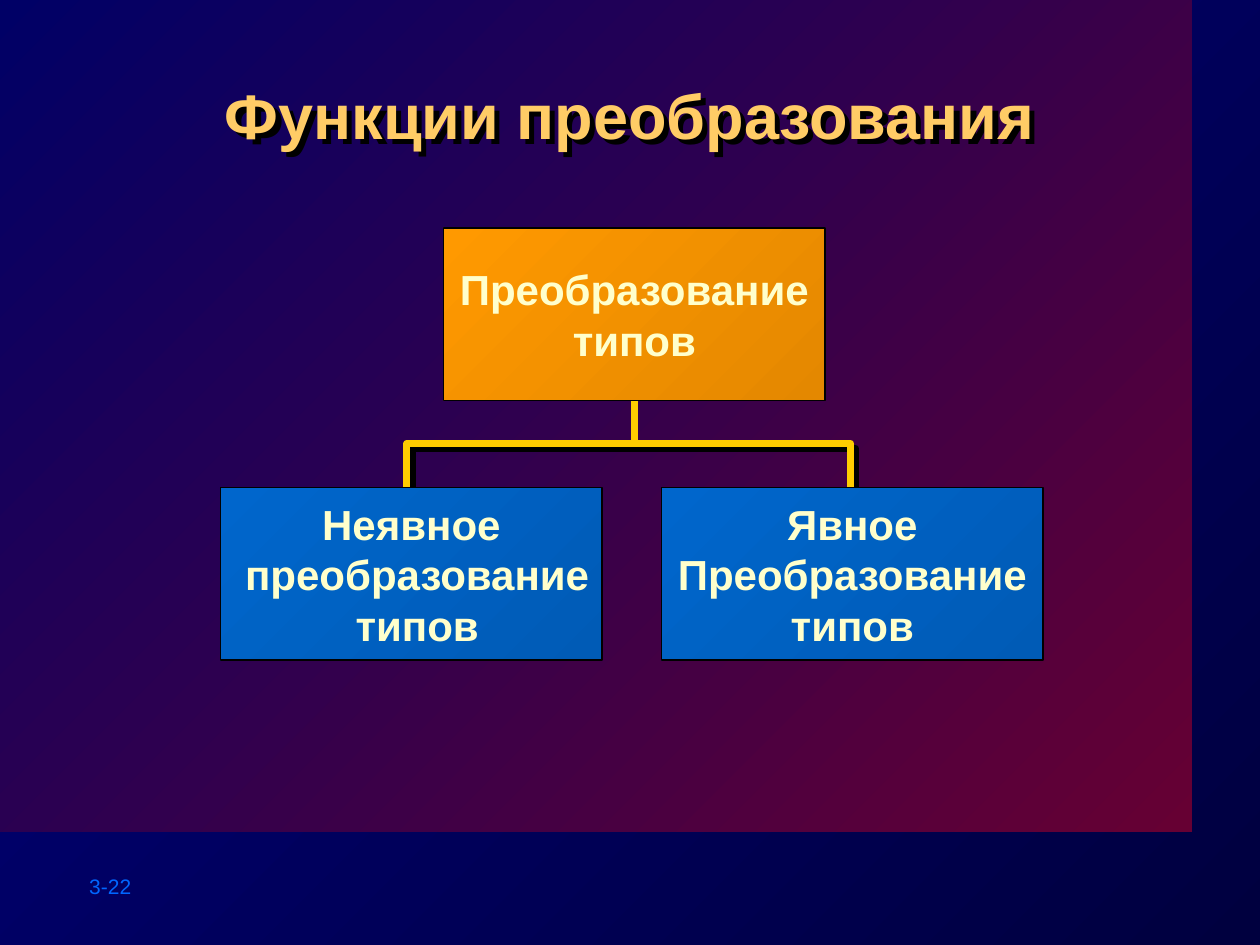
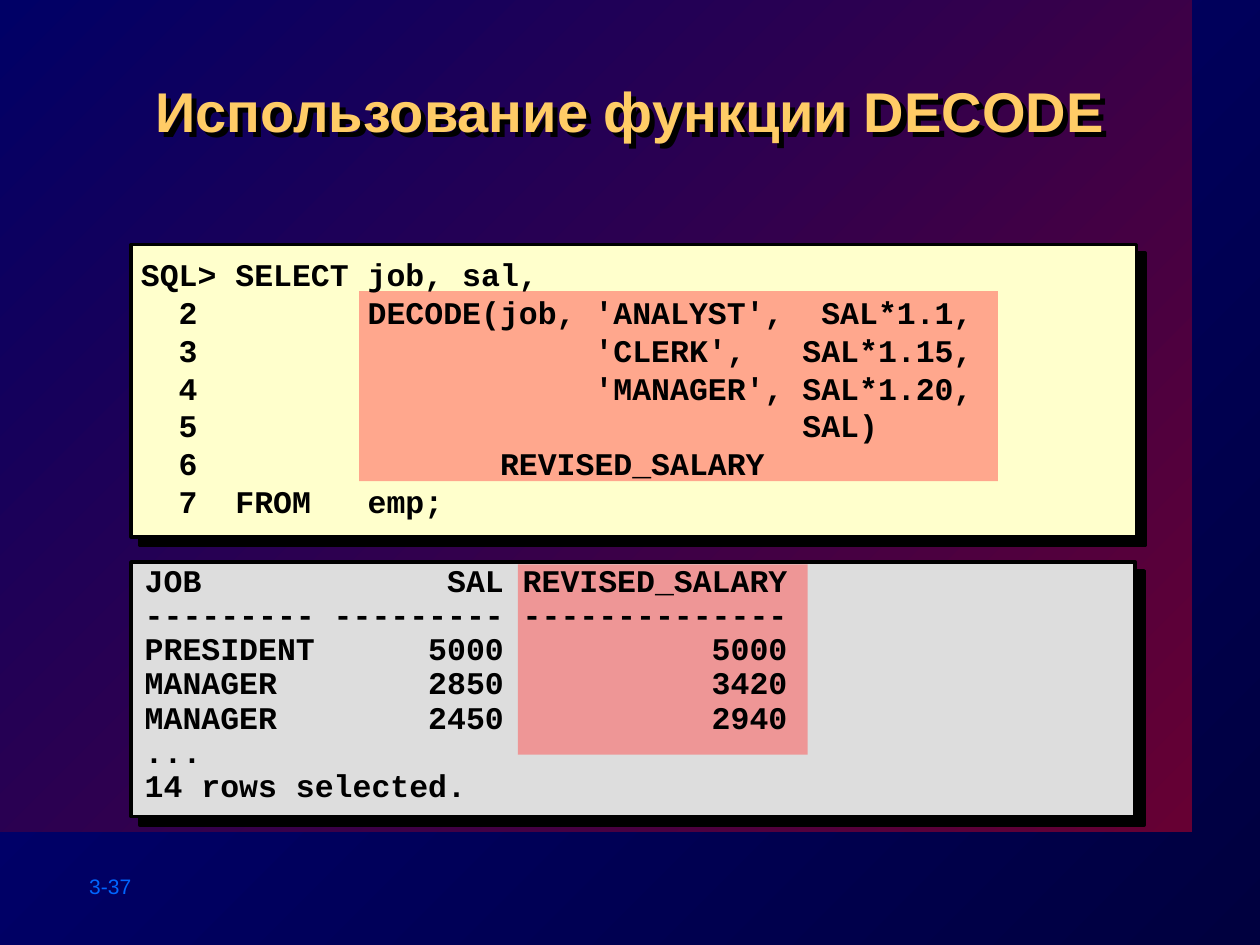
from lxml import etree
from pptx import Presentation
from pptx.dml.color import RGBColor
from pptx.enum.shapes import MSO_CONNECTOR, MSO_SHAPE
from pptx.enum.text import MSO_ANCHOR, PP_ALIGN
from pptx.oxml.ns import qn
from pptx.util import Inches, Pt

# Content
CONVERSION = {
    "title": "Функции преобразования",
    "title_size": 36,
    "number": "3-22",
    "parent": "Преобразование\nтипов",
    "children": ["Неявное\v преобразование\v типов",
                 "Явное\nПреобразование\nтипов"],
}
DECODE = {
    "title": "Использование функции DECODE",
    "title_size": 32,
    "number": "3-37",
    "query": [
        "SQL> SELECT job, sal,",
        "  2         DECODE(job, 'ANALYST',  SAL*1.1,",
        "  3                     'CLERK',   SAL*1.15,",
        "  4                     'MANAGER', SAL*1.20,",
        "  5                                SAL)",
        "  6                REVISED_SALARY",
        "  7  FROM   emp;",
    ],
    "result": [
        "JOB             SAL REVISED_SALARY",
        "--------- --------- --------------",
        "PRESIDENT      5000           5000",
        "MANAGER        2850           3420",
        "MANAGER        2450           2940",
        "...",
        "14 rows selected.",
    ],
}

# Shared style
COLORS = {
    "title": "FFCC66", "number": "0066FF", "connector": "FFCC00",
    "box_text": "FFFFCC", "black": "000000", "highlight": "FF5050",
    "query": "FFFFCC", "result": "DDDDDD",
}
GRADIENTS = {
    "background": ("00003F", "000080"),
    "panel": ("660033", "000066"),
    "parent": ("E48800", "FF9900"),
    "child": ("005BB6", "0066CC"),
}
BOX_WIDTH, BOX_HEIGHT = 3.03, 1.37
PARENT_LEFT, PARENT_TOP = 3.52, 1.81
CHILD_LEFT, CHILD_TOP, CHILD_STEP = 1.75, 3.87, 3.5
BRACKET_POINTS = [(3.23, 4.15), (3.23, 3.52), (6.75, 3.52), (6.75, 4.04)]


def color(name):
    return RGBColor.from_string(COLORS[name])


def paint_gradient(fill, name):
    fill.gradient()
    fill.gradient_angle = 135
    for stop, value in zip(fill.gradient_stops, GRADIENTS[name]):
        stop.color.rgb = RGBColor.from_string(value)


def cast_shadow(shape, distance):
    shape.shadow.inherit = False
    effects = shape._element.spPr.find(qn("a:effectLst"))
    shadow = etree.SubElement(effects, qn("a:outerShdw"), dist=str(Pt(distance)),
                              dir="2700000", algn="ctr", rotWithShape="0")
    etree.SubElement(shadow, qn("a:srgbClr"), val=COLORS["black"])


def write_text(shape, text, size=18, font="Arial", ink="black", bold=True,
               align=PP_ALIGN.LEFT, anchor=MSO_ANCHOR.TOP, wrap=True, spacing=None):
    frame = shape.text_frame
    frame.text = text
    frame.word_wrap = wrap
    frame.vertical_anchor = anchor
    for paragraph in frame.paragraphs:
        paragraph.alignment = align
        paragraph.line_spacing = spacing
        for run in paragraph.runs:
            run.font.name = font
            run.font.size = Pt(size)
            run.font.bold = bold
            run.font.color.rgb = color(ink)


def add_text(slide, place, text, **style):
    box = slide.shapes.add_textbox(*map(Inches, place))
    write_text(box, text, **style)
    return box


def add_rectangle(slide, place, fill=None, gradient=None, line=None):
    shape = slide.shapes.add_shape(MSO_SHAPE.RECTANGLE, *map(Inches, place))
    shape.shadow.inherit = False
    if gradient:
        paint_gradient(shape.fill, gradient)
    else:
        shape.fill.solid()
        shape.fill.fore_color.rgb = color(fill)
    if line:
        shape.line.color.rgb = color("black")
        shape.line.width = Pt(line)
    else:
        shape.line.fill.background()
    return shape


def add_base_slide(presentation, content):
    slide = presentation.slides.add_slide(presentation.slide_layouts[6])
    paint_gradient(slide.background.fill, "background")
    add_rectangle(slide, (0, 0, 9.46, 6.6), gradient="panel")
    add_text(slide, (0.61, 6.88, 1.11, 0.3), content["number"],
             size=12, ink="number", bold=False)
    title = add_text(slide, (1.01, 0.56, 7.98, 0.96), content["title"],
                     size=content["title_size"], ink="title", align=PP_ALIGN.CENTER)
    cast_shadow(title, 4.2)
    return slide


def add_diagram_box(slide, left, top, text, gradient):
    box = add_rectangle(slide, (left, top, BOX_WIDTH, BOX_HEIGHT),
                        gradient=gradient, line=1)
    write_text(box, text, size=24, ink="box_text", align=PP_ALIGN.CENTER,
               anchor=MSO_ANCHOR.MIDDLE, wrap=False)
    return box


def style_branch(shape):
    shape.line.color.rgb = color("connector")
    shape.line.width = Pt(4)


def build_conversion_slide(presentation):
    slide = add_base_slide(presentation, CONVERSION)

    # Bracket behind the boxes
    points = [(Inches(x), Inches(y)) for x, y in BRACKET_POINTS]
    builder = slide.shapes.build_freeform(*points[0])
    builder.add_line_segments(points[1:], close=False)
    bracket = builder.convert_to_shape()
    bracket.fill.background()
    style_branch(bracket)
    cast_shadow(bracket, 4.2)

    # Boxes
    for index, text in enumerate(CONVERSION["children"]):
        add_diagram_box(slide, CHILD_LEFT + index * CHILD_STEP, CHILD_TOP, text, "child")
    parent = add_diagram_box(slide, PARENT_LEFT, PARENT_TOP,
                             CONVERSION["parent"], "parent")

    # Stem from the parent down to the bracket
    center = parent.left + parent.width // 2
    stem = slide.shapes.add_connector(MSO_CONNECTOR.STRAIGHT, center,
                                      parent.top + parent.height, center, points[1][1])
    stem.begin_connect(parent, 2)
    style_branch(stem)
    etree.SubElement(stem._element.spPr, qn("a:effectLst"))


def build_decode_slide(presentation):
    slide = add_base_slide(presentation, DECODE)

    # Panels
    for place, fill in [((1.04, 1.94, 7.98, 2.32), "query"),
                        ((1.04, 4.46, 7.97, 2.02), "result")]:
        cast_shadow(add_rectangle(slide, place, fill=fill, line=2), 7.1)

    # Translucent highlights
    for place in [(2.85, 2.31, 5.07, 1.51), (4.11, 4.48, 2.3, 1.51)]:
        highlight = add_rectangle(slide, place, fill="highlight")
        tint = highlight._element.spPr.find(qn("a:solidFill"))[0]
        etree.SubElement(tint, qn("a:alpha"), val="50000")

    # Query and its output
    add_text(slide, (1.02, 1.9, 8, 2.35), "\n".join(DECODE["query"]),
             font="Courier New", anchor=MSO_ANCHOR.MIDDLE)
    add_text(slide, (1.05, 4.44, 7.95, 1.99), "\n".join(DECODE["result"]),
             font="Courier New", spacing=0.9)


def main():
    presentation = Presentation()
    presentation.slide_width = Inches(10)
    presentation.slide_height = Inches(7.5)
    build_conversion_slide(presentation)
    build_decode_slide(presentation)
    presentation.save("out.pptx")


if __name__ == "__main__":
    main()
